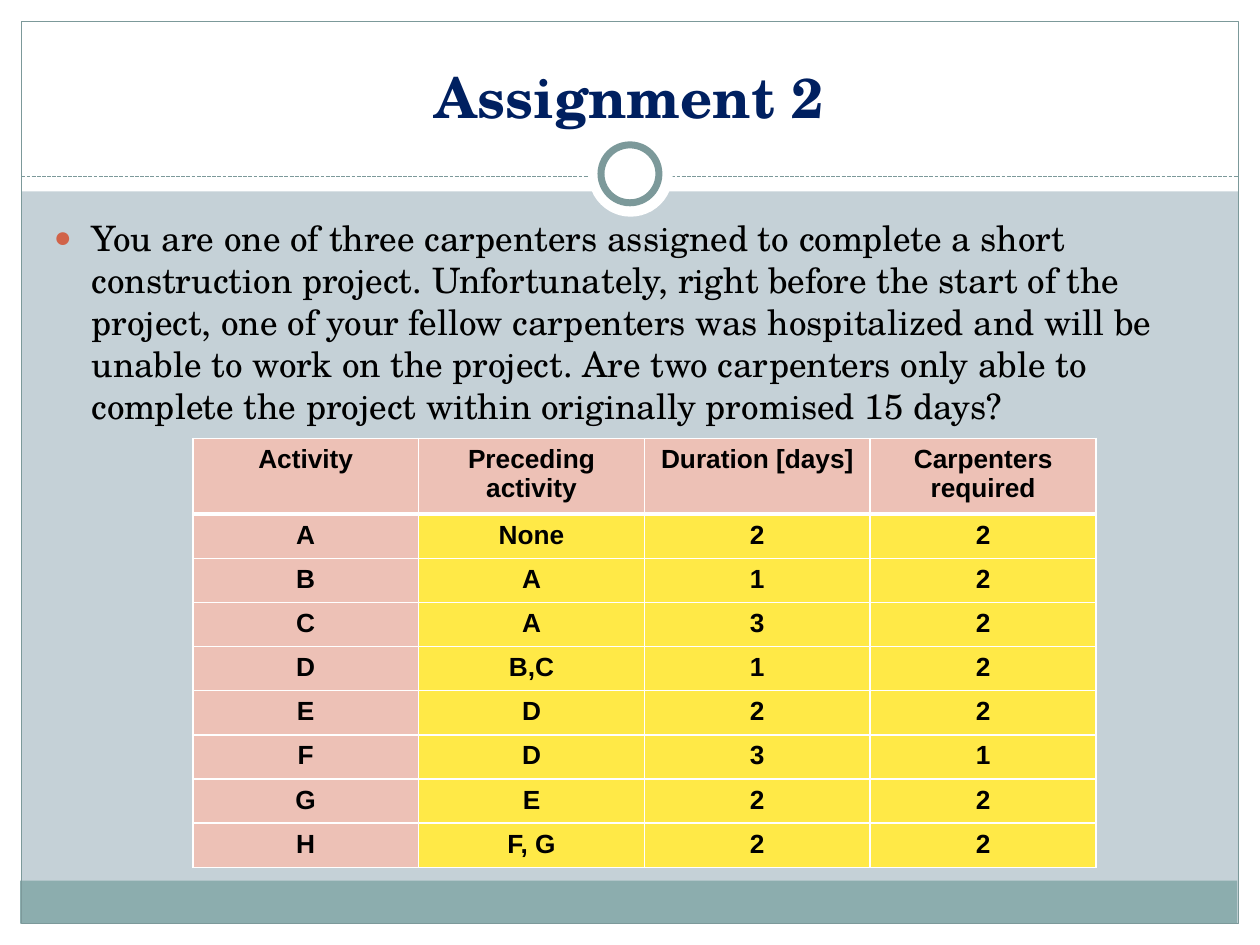
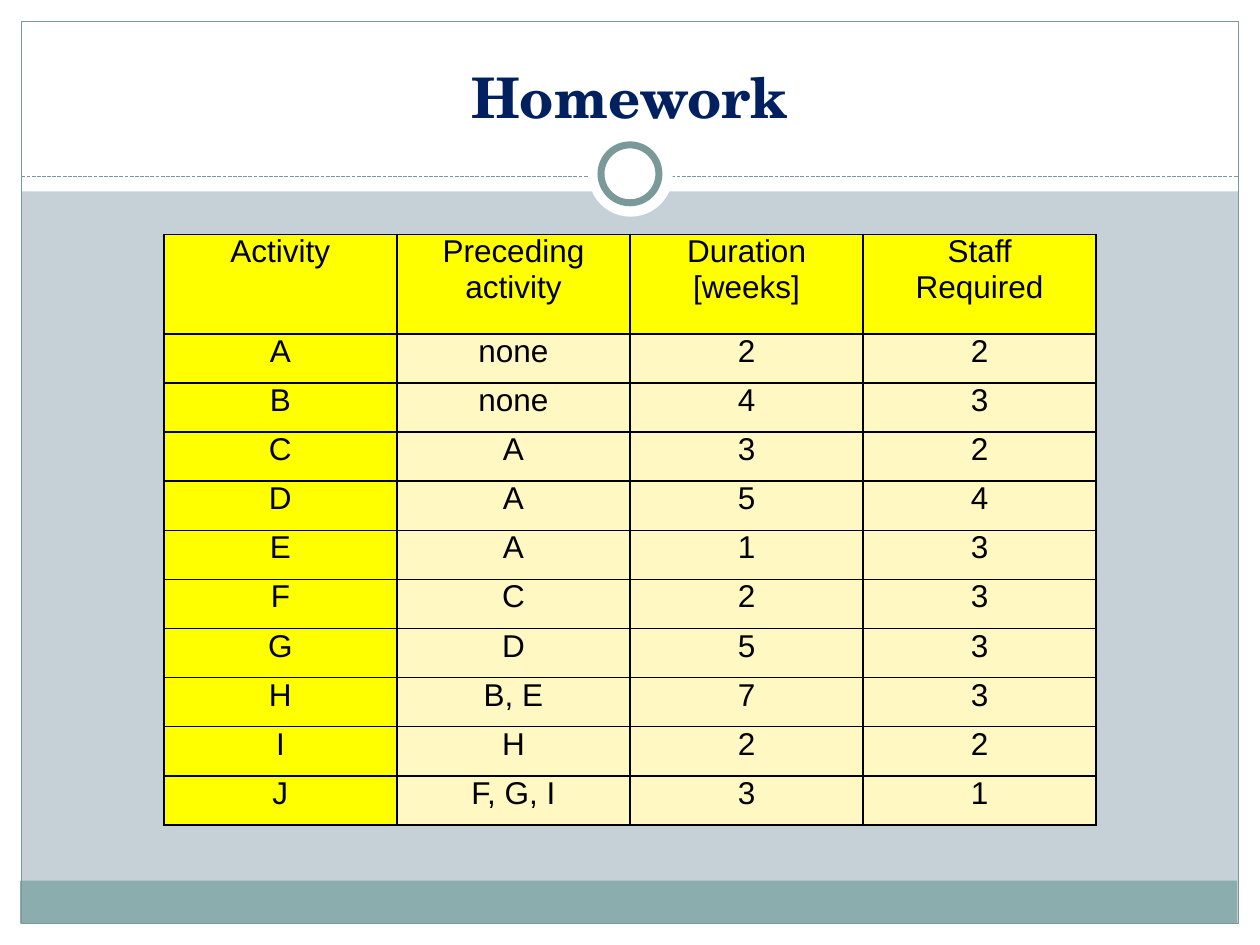
from lxml import etree
from pptx import Presentation
from pptx.dml.color import RGBColor
from pptx.enum import dml, shapes, text
from pptx.oxml import ns
from pptx.util import Inches, Pt

COLOURS = {
    "backdrop": "C5D1D7", "white": "FFFFFF", "black": "000000",
    "footer": "8CADAE", "frame": "7C999A", "title": "002060",
    "bullet": "D16349", "pink": "EDC1B6", "gold": "FFE947",
    "yellow": "FFFF00", "cream": "FFF8C2",
}
SERIF, SANS = "TeX Gyre Schola", "Arial"
RECTANGLE = shapes.MSO_SHAPE.RECTANGLE
OVAL = shapes.MSO_SHAPE.OVAL

QUESTION = (
    "You are one of three carpenters assigned to complete a short construction project. "
    "Unfortunately, right before the start of the project, one of your fellow carpenters "
    "was hospitalized and will be unable to work on the project. Are two carpenters only "
    "able to complete the project within originally promised 15 days?"
)
CARPENTRY_ROWS = [
    ("Activity", "Preceding activity", "Duration [days]", "Carpenters required"),
    ("A", "None", "2", "2"),
    ("B", "A", "1", "2"),
    ("C", "A", "3", "2"),
    ("D", "B,C", "1", "2"),
    ("E", "D", "2", "2"),
    ("F", "D", "3", "1"),
    ("G", "E", "2", "2"),
    ("H", "F, G", "2", "2"),
]
HOMEWORK_ROWS = [
    ("Activity", "Preceding activity", "Duration [weeks]", "Staff\nRequired"),
    ("A", "none", "2", "2"),
    ("B", "none", "4", "3"),
    ("C", "A", "3", "2"),
    ("D", "A", "5", "4"),
    ("E", "A", "1", "3"),
    ("F", "C", "2", "3"),
    ("G", "D", "5", "3"),
    ("H", "B, E", "7", "3"),
    ("I", "H", "2", "2"),
    ("J", "F, G, I", "3", "1"),
]


def rgb(name):
    return RGBColor.from_string(COLOURS[name])


def set_all(target, values):
    for name, value in values.items():
        setattr(target, name, value)


def add_child(parent, tag, **attributes):
    return etree.SubElement(parent, ns.qn(tag), attributes)


def paint(target, colour):
    target.fill.solid()
    target.fill.fore_color.rgb = rgb(colour)


def style_line(line, width):
    line.color.rgb = rgb("frame")
    line.width = Pt(width)


def style_paragraph(para, font, size, colour, bold=False, align=None):
    para.alignment = align
    for span in para.runs:
        set_all(span.font, {"name": font, "size": Pt(size), "bold": bold})
        span.font.color.rgb = rgb(colour)


def add_panel(page, kind, place, fill=None, outline=None):
    panel = page.shapes.add_shape(kind, *map(Inches, place))
    panel.shadow.inherit = False
    if fill:
        paint(panel, fill)
    else:
        panel.fill.background()
    if outline:
        style_line(panel.line, outline)
    else:
        panel.line.fill.background()


def add_divider(page):
    divider = page.shapes.add_connector(
        shapes.MSO_CONNECTOR.STRAIGHT, *map(Inches, (0.17, 1.4, 9.83, 1.4)))
    style_line(divider.line, 0.75)
    divider.line.dash_style = dml.MSO_LINE.SQUARE_DOT
    add_child(divider.element.spPr, "a:effectLst")


def add_text(page, place, words, anchor):
    box = page.shapes.add_textbox(*map(Inches, place))
    frame = box.text_frame
    set_all(frame, {"word_wrap": True, "vertical_anchor": anchor, "text": words})
    return frame.paragraphs[0]


def add_bulleted(page, place, words):
    para = add_text(page, place, words, text.MSO_ANCHOR.TOP)
    style_paragraph(para, SERIF, 20, "black")
    para.space_before = Pt(4)
    properties = para._p.get_or_add_pPr()
    properties.set("marL", str(Inches(0.3)))
    properties.set("indent", str(Inches(-0.3)))
    add_child(add_child(properties, "a:buClr"), "a:srgbClr", val=COLOURS["bullet"])
    add_child(properties, "a:buSzPct", val="85000")
    add_child(properties, "a:buFont", typeface=SANS)
    add_child(properties, "a:buChar", char="●")


def add_page(deck, title):
    page = deck.slides.add_slide(deck.slide_layouts[6])
    paint(page.background, "backdrop")
    for place in ((0, 7.33, 10, 0.17), (0, 0, 10, 1.52),
                  (0, 0, 0.17, 7.5), (9.83, 0, 0.17, 7.5)):
        add_panel(page, RECTANGLE, place, "white")
    add_panel(page, RECTANGLE, (0.16, 6.99, 9.66, 0.34), "footer")
    add_panel(page, RECTANGLE, (0.17, 0.17, 9.66, 7.16), outline=0.75)
    add_divider(page)
    add_panel(page, OVAL, (4.67, 1.05, 0.67, 0.67), "white")
    add_panel(page, OVAL, (4.77, 1.15, 0.46, 0.46), "white", 4)
    heading = add_text(page, (0.33, 0.25, 9.33, 0.83), title, text.MSO_ANCHOR.BOTTOM)
    style_paragraph(heading, SERIF, 32, "title", True, text.PP_ALIGN.CENTER)
    return page


def add_borders(cell, colour, widths):
    properties = cell._tc.get_or_add_tcPr()
    for index, (side, width) in enumerate(zip("LRTB", widths)):
        border = etree.Element(ns.qn(f"a:ln{side}"), w=str(Pt(width)))
        add_child(add_child(border, "a:solidFill"), "a:srgbClr", val=COLOURS[colour])
        properties.insert(index, border)


def add_grid(page, place, rows, header_height, row_height, label_fill, value_fill,
             border, size, margins, bold=False, rule=1):
    height = header_height + row_height * (len(rows) - 1)
    left, top, width = place
    table = page.shapes.add_table(
        len(rows), len(rows[0]), *map(Inches, (left, top, width, height))).table
    set_all(table, {"first_row": False, "horz_banding": False})
    side, edge = map(Inches, margins)
    for column in table.columns:
        column.width = Inches(width / len(rows[0]))
    for r, row in enumerate(rows):
        table.rows[r].height = Inches(row_height if r else header_height)
        for c, words in enumerate(row):
            cell = table.cell(r, c)
            set_all(cell, {"text": words, "margin_left": side, "margin_right": side,
                           "margin_top": edge, "margin_bottom": edge})
            paint(cell, value_fill if r and c else label_fill)
            add_borders(cell, border,
                        (1, 1, rule if r == 1 else 1, rule if r == 0 else 1))
            for para in cell.text_frame.paragraphs:
                style_paragraph(para, SANS, size, "black", bold, text.PP_ALIGN.CENTER)


def main():
    deck = Presentation()
    set_all(deck, {"slide_width": Inches(10), "slide_height": Inches(7.5)})

    assignment = add_page(deck, "Assignment 2")
    add_bulleted(assignment, (0.33, 1.67, 9.36, 5), QUESTION)
    add_grid(assignment, (1.53, 3.48, 7.17), CARPENTRY_ROWS, 0.6, 0.35,
             "pink", "gold", "white", 15, (0.1, 0.05), bold=True, rule=3)

    homework = add_page(deck, "Homework")
    add_grid(homework, (1.3, 1.86, 7.4), HOMEWORK_ROWS, 0.79, 0.39,
             "yellow", "cream", "black", 18, (0.05, 0))

    deck.save("out.pptx")


if __name__ == "__main__":
    main()
